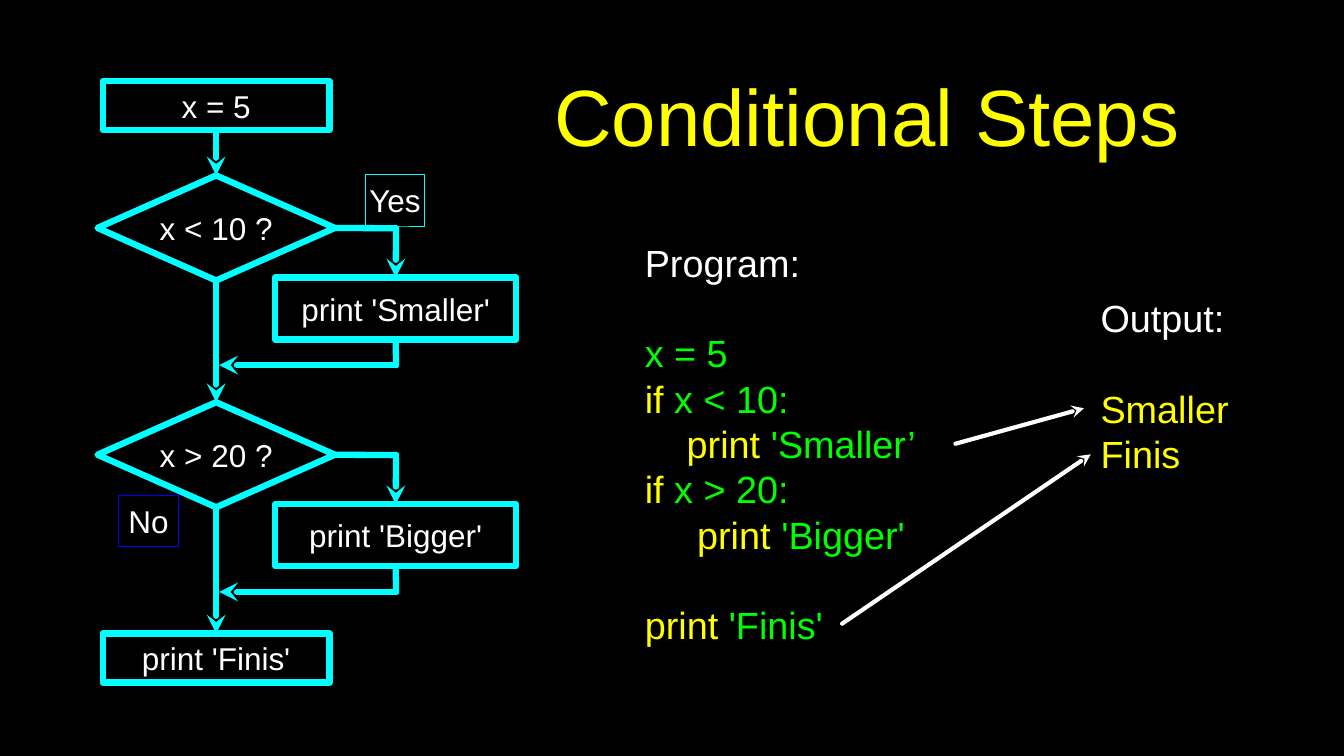
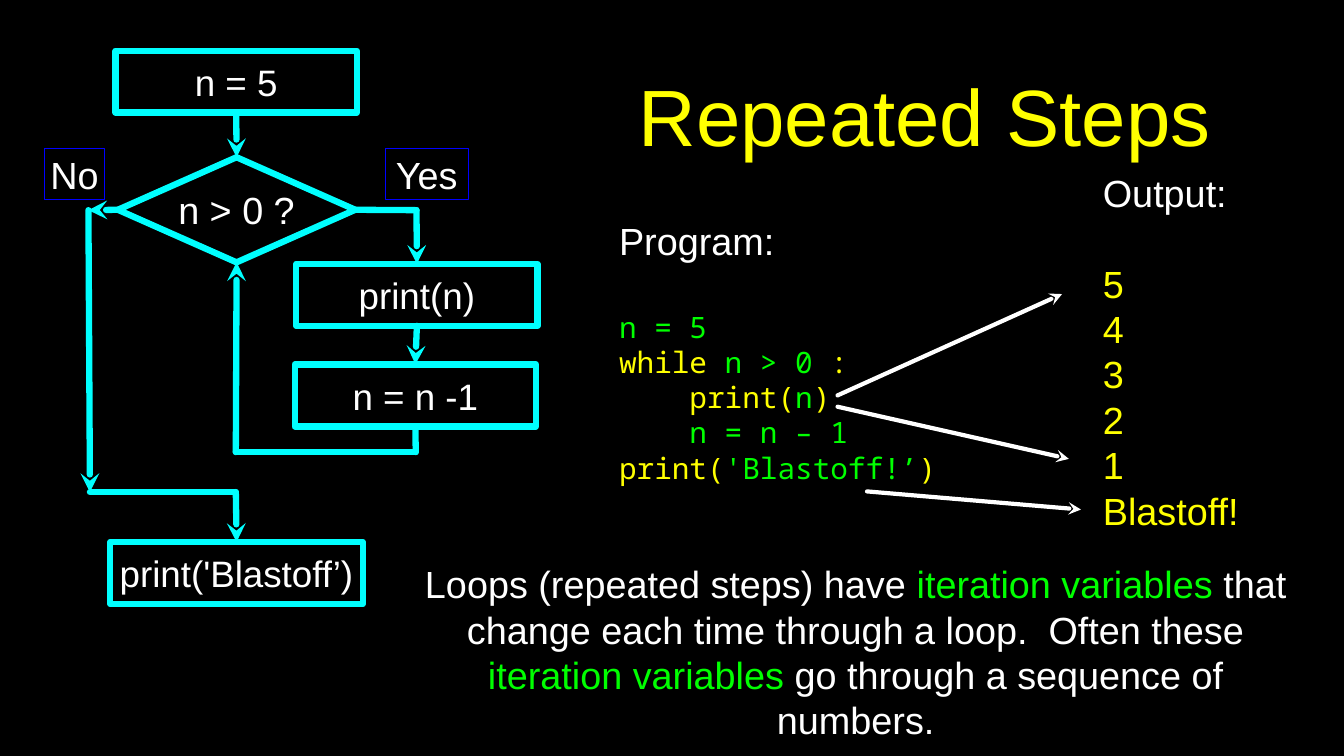
import dataclasses

import pptx
import pptx.dml.color
import pptx.enum.shapes
import pptx.enum.text
import pptx.oxml.ns
import pptx.util
from lxml import etree

PX = 9144  # EMU in one px, 100 px to the inch
SHAPE = pptx.enum.shapes.MSO_SHAPE
ALIGN = pptx.enum.text.PP_ALIGN
TOP, LEFT, BOTTOM, RIGHT = range(4)


@dataclasses.dataclass(frozen=True)
class Theme:
    background: str = "000000"
    text: str = "FFFFFF"
    keyword: str = "FFFF00"
    code: str = "00FF00"
    flow: str = "00FFFF"
    label: str = "0000FF"
    font: str = "Arial"
    mono: str = "Noto Sans Mono"
    title_size: int = 76
    body_size: int = 36
    step_size: int = 35
    small_size: int = 30
    code_size: int = 28
    leading: float = 1.2
    flow_width: float = 6
    pointer_width: float = 4
    label_width: float = 0.75


THEME = Theme()


@dataclasses.dataclass(frozen=True)
class Line:
    """One paragraph: (text, colour) spans, with an optional gap of one body line above."""
    spans: tuple
    size: int = THEME.body_size
    font: str = THEME.font
    gap: bool = False


def line(*spans, **style):
    return Line(spans, **style)


def color(value):
    return pptx.dml.color.RGBColor.from_string(value)


def emu(*lengths):
    return [pptx.util.Emu(length * PX) for length in lengths]


def add_child(parent, tag, **attributes):
    return etree.SubElement(parent, pptx.oxml.ns.qn(tag), **attributes)


def write(box, lines, align=ALIGN.LEFT, margin=0):
    frame = box.text_frame
    frame.word_wrap = True
    frame.vertical_anchor = pptx.enum.text.MSO_ANCHOR.MIDDLE
    frame.margin_left, frame.margin_top, frame.margin_right, frame.margin_bottom = emu(*[margin] * 4)
    for index, item in enumerate(lines):
        para = frame.add_paragraph() if index else frame.paragraphs[0]
        para.alignment = align
        para.line_spacing = pptx.util.Pt(item.size * THEME.leading)
        if item.gap:
            para.space_before = pptx.util.Pt(THEME.body_size * THEME.leading)
        for text, span_color in item.spans:
            span = para.add_run()
            span.text = text
            span.font.name = item.font
            span.font.size = pptx.util.Pt(item.size)
            span.font.color.rgb = color(span_color)


def add_text(page, left, top, width, height, lines, **layout):
    write(page.shapes.add_textbox(*emu(left, top, width, height)), lines, **layout)


def add_page(deck, title, left, width):
    page = deck.slides.add_slide(deck.slide_layouts[6])
    page.background.fill.solid()
    page.background.fill.fore_color.rgb = color(THEME.background)
    add_text(page, left, 26, width, 251,
             [line((title, THEME.keyword), size=THEME.title_size)], align=ALIGN.CENTER, margin=4)
    return page


def add_node(page, kind, left, top, width, height, text, size,
             outline=THEME.flow, weight=THEME.flow_width):
    node = page.shapes.add_shape(kind, *emu(left, top, width, height))
    node.shadow.inherit = False
    node.fill.background()
    node.line.color.rgb = color(outline)
    node.line.width = pptx.util.Pt(weight)
    add_child(node.line._get_or_add_ln(), "a:round")
    write(node, [line((text, THEME.text), size=size)], ALIGN.CENTER)
    return node


def add_label(page, left, top, width, text, size, outline=THEME.label):
    add_node(page, SHAPE.RECTANGLE, left, top, width, 68, text, size, outline, THEME.label_width)


def add_segment(page, start, end, stroke, weight, arrow):
    """Draw a straight line; each end is an (x, y) point or a (shape, site) joint."""
    connector = page.shapes.add_connector(pptx.enum.shapes.MSO_CONNECTOR.STRAIGHT, 0, 0, 0, 0)
    if isinstance(start[0], int):
        connector.begin_x, connector.begin_y = emu(*start)
    else:
        connector.begin_connect(*start)
    if isinstance(end[0], int):
        connector.end_x, connector.end_y = emu(*end)
    else:
        connector.end_connect(*end)
    connector.line.color.rgb = color(stroke)
    connector.line.width = pptx.util.Pt(weight)
    outline = connector.line._get_or_add_ln()
    outline.set("cap", "rnd")
    add_child(outline, "a:round")
    if arrow:
        add_child(outline, "a:tailEnd", type="stealth")
    add_child(connector._element.spPr, "a:effectLst")


def add_route(page, *stops, arrow=True, stroke=THEME.flow, weight=THEME.flow_width):
    """Join the stops in turn, with the arrowhead on the last one."""
    last = len(stops) - 2
    for index, (start, end) in enumerate(zip(stops, stops[1:])):
        add_segment(page, start, end, stroke, weight, arrow and index == last)


def add_pointers(page, pairs):
    for start, end in pairs:
        add_route(page, start, end, stroke=THEME.text, weight=THEME.pointer_width)


def add_output(page, left, top, width, height, results):
    first, *others = results
    add_text(page, left, top, width, height, [
        line(("Output:", THEME.text)),
        line((first, THEME.keyword), gap=True),
        *[line((result, THEME.keyword)) for result in others],
    ])


def add_condition(page, top, question, action):
    """Draw a test with its Yes branch, and return the diamond."""
    size = THEME.small_size
    test = add_node(page, SHAPE.DIAMOND, 129, top, 314, 139, question, size)
    step = add_node(page, SHAPE.RECTANGLE, 364, top + 135, 319, 82, action, size)
    add_route(page, (test, RIGHT), (524, top + 70), (step, TOP))
    add_route(page, (step, BOTTOM), (524, top + 251), (290, top + 251))
    return test


def build_conditional_steps(deck):
    page = add_page(deck, "Conditional Steps", 643, 1007)
    add_output(page, 1456, 390, 173, 239, ["Smaller", "Finis"])
    keyword, code = THEME.keyword, THEME.code
    add_text(page, 853, 314, 411, 545, [
        line(("Program:", THEME.text)),
        line(("x = 5", code), gap=True),
        line(("if ", keyword), ("x < 10:", code)),
        line(("    print ", keyword), ("'Smaller’", code)),
        line(("if ", keyword), ("x > 20:", code)),
        line(("     print ", keyword), ("'Bigger'", code)),
        line(("print ", keyword), ("'Finis'", code), gap=True),
    ])
    size = THEME.small_size
    chain = [
        add_node(page, SHAPE.RECTANGLE, 136, 107, 300, 65, "x = 5", size),
        add_condition(page, 232, "x < 10 ?", "print 'Smaller'"),
        add_condition(page, 532, "x > 20 ?", "print 'Bigger'"),
        add_node(page, SHAPE.RECTANGLE, 136, 838, 300, 65, "print 'Finis'", size),
    ]
    for upper, lower in zip(chain, chain[1:]):
        add_route(page, (upper, BOTTOM), (lower, TOP))
    add_label(page, 483, 231, 79, "Yes", size, THEME.flow)
    add_label(page, 157, 655, 79, "No", size)
    add_pointers(page, [((1264, 587), (1434, 540)), ((1114, 825), (1443, 601))])


def build_repeated_steps(deck):
    page = add_page(deck, "Repeated Steps", 796, 854)
    add_output(page, 1459, 231, 218, 467, ["5", "4", "3", "2", "1", "Blastoff!"])
    keyword, code = THEME.keyword, THEME.code
    mono = {"size": THEME.code_size, "font": THEME.mono}
    add_text(page, 819, 253, 427, 424, [
        line(("Program:", THEME.text)),
        line(("n = 5", code), gap=True, **mono),
        line(("while", keyword), (" n > 0", code), (" :", keyword), **mono),
        line(("    print(", keyword), ("n", code), (")", keyword), **mono),
        line(("    n = n – 1", code), **mono),
        line(("print(", keyword), ("'Blastoff!’", code), (")", keyword), **mono),
    ])
    add_text(page, 553, 771, 1158, 182, [line(
        ("Loops (repeated steps) have ", THEME.text),
        ("iteration variables ", code),
        ("that change each time through a loop.  Often these ", THEME.text),
        ("iteration variables", code),
        (" go through a sequence of numbers.", THEME.text),
    )], align=ALIGN.CENTER)

    size = THEME.step_size
    start = add_node(page, SHAPE.RECTANGLE, 153, 67, 319, 82, "n = 5", size)
    test = add_node(page, SHAPE.DIAMOND, 156, 208, 314, 139, "n > 0 ?", THEME.body_size)
    show = add_node(page, SHAPE.RECTANGLE, 392, 349, 319, 82, "print(n)", size)
    count = add_node(page, SHAPE.RECTANGLE, 390, 482, 319, 82, "n = n -1", size)
    finish = add_node(page, SHAPE.RECTANGLE, 146, 717, 334, 82, "print('Blastoff’)", size)
    add_route(page, (start, BOTTOM), (test, TOP))
    add_route(page, (test, RIGHT), (551, 278), (show, TOP))
    add_route(page, (show, BOTTOM), (count, TOP))
    add_route(page, (count, BOTTOM), (550, 598), (312, 598), (test, BOTTOM))
    add_route(page, (test, LEFT), (117, 278))
    add_route(page, (117, 278), (119, 651))
    add_route(page, (119, 651), (312, 651), (finish, TOP))
    add_label(page, 59, 196, 79, "No", THEME.body_size)
    add_label(page, 510, 196, 109, "Yes", THEME.body_size)
    add_pointers(page, [
        ((1108, 523), (1405, 389)),
        ((1108, 538), (1414, 607)),
        ((1147, 650), (1430, 674)),
    ])


def main():
    deck = pptx.Presentation()
    deck.slide_width, deck.slide_height = emu(1778, 1000)
    build_conditional_steps(deck)
    build_repeated_steps(deck)
    deck.save("out.pptx")


if __name__ == "__main__":
    main()
